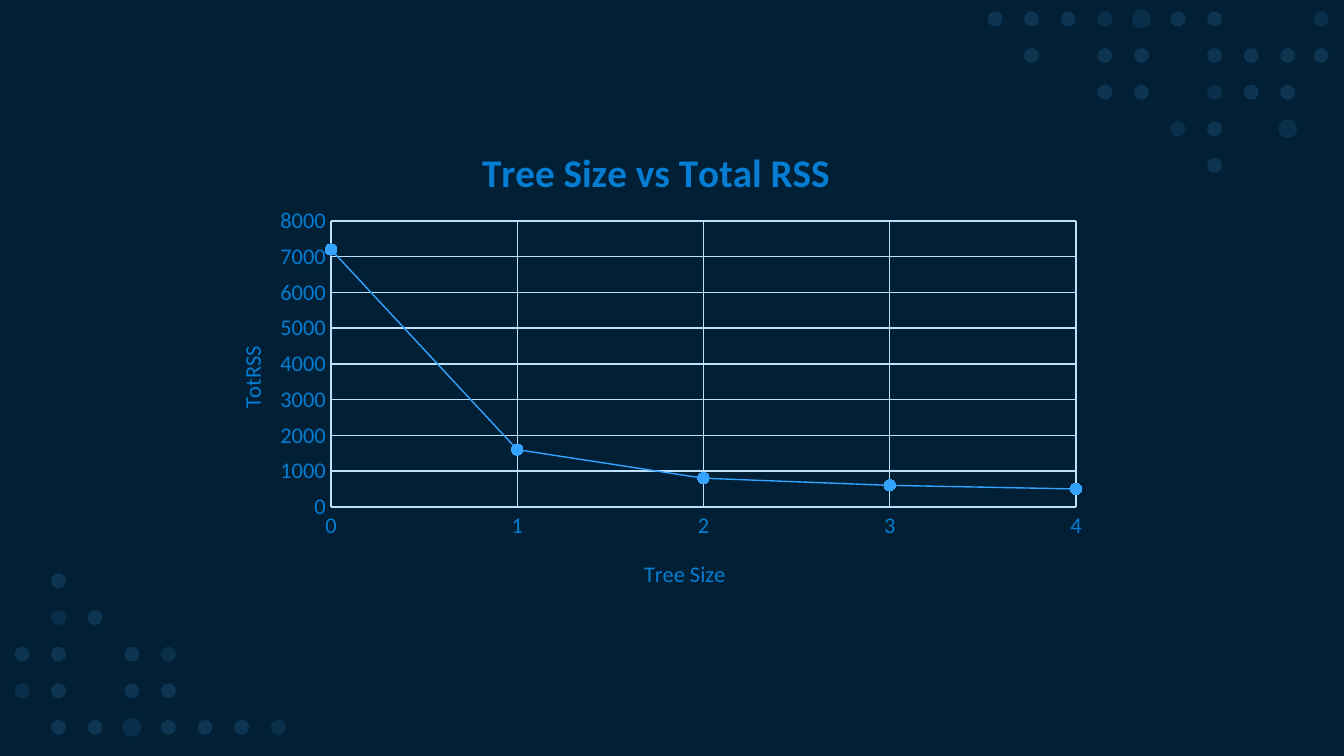
from dataclasses import dataclass

from lxml.etree import SubElement
from pptx import Presentation
from pptx.chart.data import XyChartData
from pptx.dml.color import RGBColor
from pptx.enum.chart import XL_CHART_TYPE, XL_MARKER_STYLE, XL_TICK_MARK
from pptx.enum.shapes import MSO_SHAPE
from pptx.oxml import parse_xml
from pptx.oxml.ns import nsdecls, qn
from pptx.util import Pt


@dataclass(frozen=True)
class Theme:
    background = RGBColor(0x01, 0x20, 0x36)
    dot = RGBColor(0x5C, 0xB5, 0xFF)
    text = RGBColor(0x04, 0x7D, 0xD2)
    grid = RGBColor(0xBC, 0xE2, 0xFE)
    line = RGBColor(0x33, 0xA3, 0xFF)
    font = "Calibri"
    title_size = 21
    axis_size = 12
    line_width = 0.75


THEME = Theme()
SLIDE = (1344, 756)
PX = 914400 / 134.4

# Each letter is one dot, each hyphen an empty cell.
DOT_KINDS = {"o": (15, 14), ".": (15, 10), "O": (19, 10)}  # diameter, opacity %
DOT_PITCH = 36.6
DOT_FIELDS = [
    ((995, 19), ["ooo.Ooo", "-o-oo-ooo", "---oo-.oo", "-----.o-O", "------o"]),
    ((1321, 19), [".", "o"]),
    ((22, 581), ["-o", "-.o", "oo-o.", ".o-oo", "-ooOooo."]),
]

CHART_BOX = (199, 108, 900, 504)
PLOT_BOX = (132, 113, 745, 286)  # inside the chart
TITLE = ("Tree Size vs Total RSS", (276, 30))
X_AXIS = ("Tree Size", (441, 447), 4, 1)
Y_AXIS = ("TotRSS", (34, 234), 8000, 1000)
SERIES_NAME = "Series 1"
POINTS = [(0, 7200), (1, 1600), (2, 800), (3, 600), (4, 500)]


def emu(*lengths):
    return [round(length * PX) for length in lengths]


def add_dot(slide, center_x, center_y, kind):
    diameter, opacity = DOT_KINDS[kind]
    left, top = center_x - diameter / 2, center_y - diameter / 2
    dot = slide.shapes.add_shape(MSO_SHAPE.OVAL, *emu(left, top, diameter, diameter))
    dot.shadow.inherit = False
    dot.line.fill.background()
    dot.fill.solid()
    dot.fill.fore_color.rgb = THEME.dot
    color = dot.fill._xPr.find(".//" + qn("a:srgbClr"))
    SubElement(color, qn("a:alpha"), val=str(opacity * 1000))


def add_dot_field(slide, origin, rows):
    for row, cells in enumerate(rows):
        for column, kind in enumerate(cells):
            if kind in DOT_KINDS:
                add_dot(slide, origin[0] + column * DOT_PITCH,
                        origin[1] + row * DOT_PITCH, kind)


def place(element, box, inner=False):
    """Fix a chart part at a px position (and size) inside the chart."""
    for old in element.findall(qn("c:layout")):
        element.remove(old)
    keys = "xywh"[:len(box)]
    target = '<c:layoutTarget val="inner"/>' if inner else ""
    modes = "".join(f'<c:{key}Mode val="edge"/>' for key in keys if key in "xy")
    values = "".join(f'<c:{key} val="{length / CHART_BOX[2 + index % 2]:.4f}"/>'
                     for index, (key, length) in enumerate(zip(keys, box)))
    layout = parse_xml(f"<c:layout {nsdecls('c')}><c:manualLayout>{target}{modes}"
                       f"{values}</c:manualLayout></c:layout>")
    text = element.find(qn("c:tx"))
    element.insert(0 if text is None else element.index(text) + 1, layout)


def style_font(font, size, bold=False):
    font.name, font.size, font.bold = THEME.font, Pt(size), bold
    font.color.rgb = THEME.text


def write_title(title, text, position, size, bold=False):
    span = title.text_frame.paragraphs[0].add_run()
    span.text = text
    style_font(span.font, size, bold)
    place(title._element, position)


def style_line(line, color):
    line.color.rgb = color
    line.width = Pt(THEME.line_width)


def style_axis(axis, text, position, maximum, step):
    axis.minimum_scale, axis.maximum_scale, axis.major_unit = 0, maximum, step
    axis.major_tick_mark = axis.minor_tick_mark = XL_TICK_MARK.NONE
    axis.format.line.fill.background()
    axis.has_major_gridlines = True
    style_line(axis.major_gridlines.format.line, THEME.grid)
    axis.tick_labels.number_format = "General"
    axis.tick_labels.number_format_is_linked = False
    style_font(axis.tick_labels.font, THEME.axis_size)
    axis.has_title = True
    write_title(axis.axis_title, text, position, THEME.axis_size)


def add_scatter_chart(slide):
    data = XyChartData()
    points = data.add_series(SERIES_NAME)
    for x, y in POINTS:
        points.add_data_point(x, y)
    chart = slide.shapes.add_chart(
        XL_CHART_TYPE.XY_SCATTER_LINES, *emu(*CHART_BOX), data).chart
    style_font(chart.font, THEME.axis_size)
    chart.has_legend = False
    chart.has_title = True
    write_title(chart.chart_title, *TITLE, THEME.title_size, bold=True)
    style_axis(chart.category_axis, *X_AXIS)
    style_axis(chart.value_axis, *Y_AXIS)
    place(chart._chartSpace.find(".//" + qn("c:plotArea")), PLOT_BOX, inner=True)

    plot = chart.plots[0]
    plot.vary_by_categories = False
    series = plot.series[0]
    series.smooth = False
    style_line(series.format.line, THEME.line)
    marker = series.marker
    marker.style, marker.size = XL_MARKER_STYLE.CIRCLE, 6
    marker.format.fill.solid()
    marker.format.fill.fore_color.rgb = THEME.line
    style_line(marker.format.line, THEME.line)


def main():
    deck = Presentation()
    deck.slide_width, deck.slide_height = emu(*SLIDE)
    slide = deck.slides.add_slide(deck.slide_layouts[6])
    slide.background.fill.solid()
    slide.background.fill.fore_color.rgb = THEME.background
    for origin, rows in DOT_FIELDS:
        add_dot_field(slide, origin, rows)
    add_scatter_chart(slide)
    deck.save("out.pptx")


if __name__ == "__main__":
    main()
